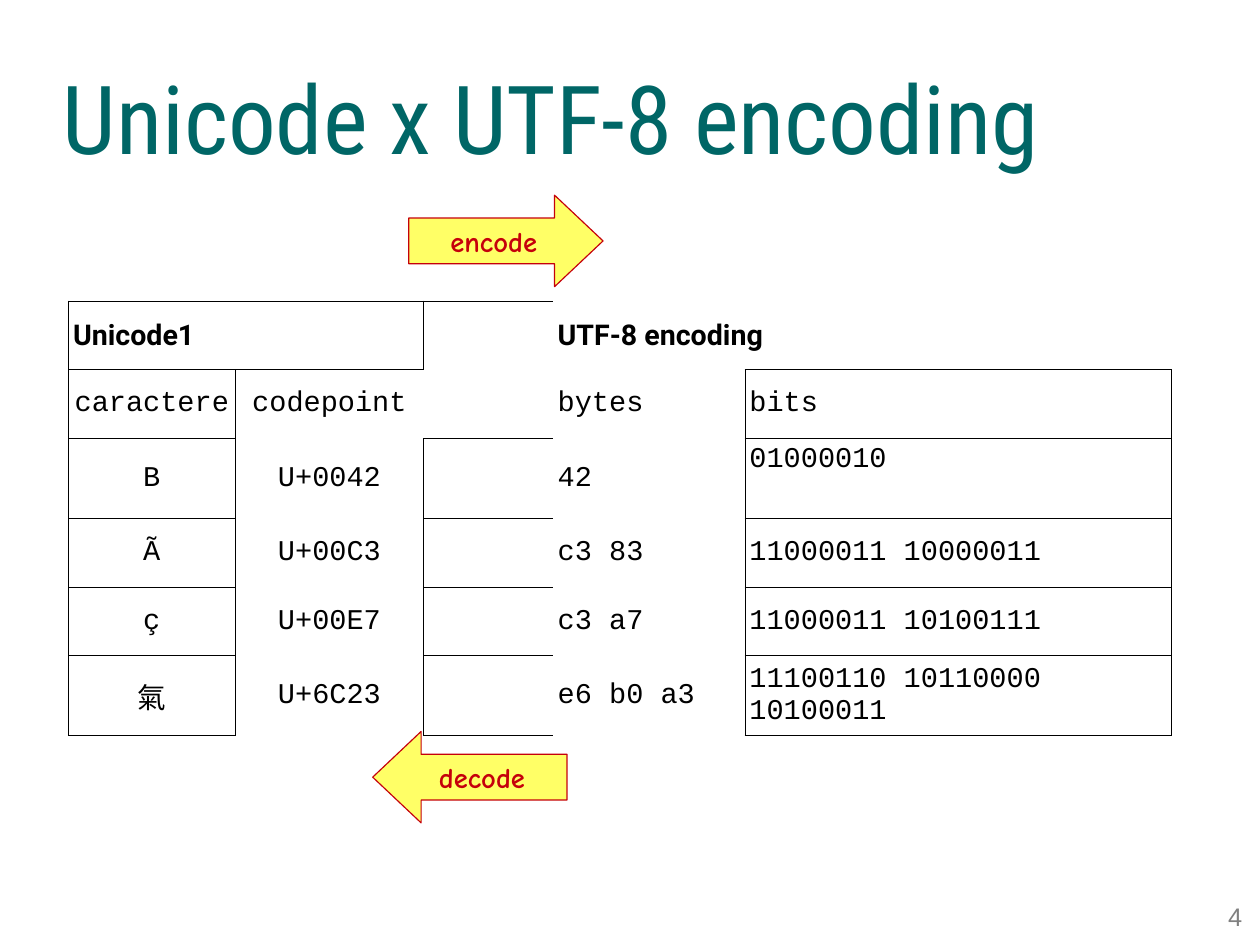
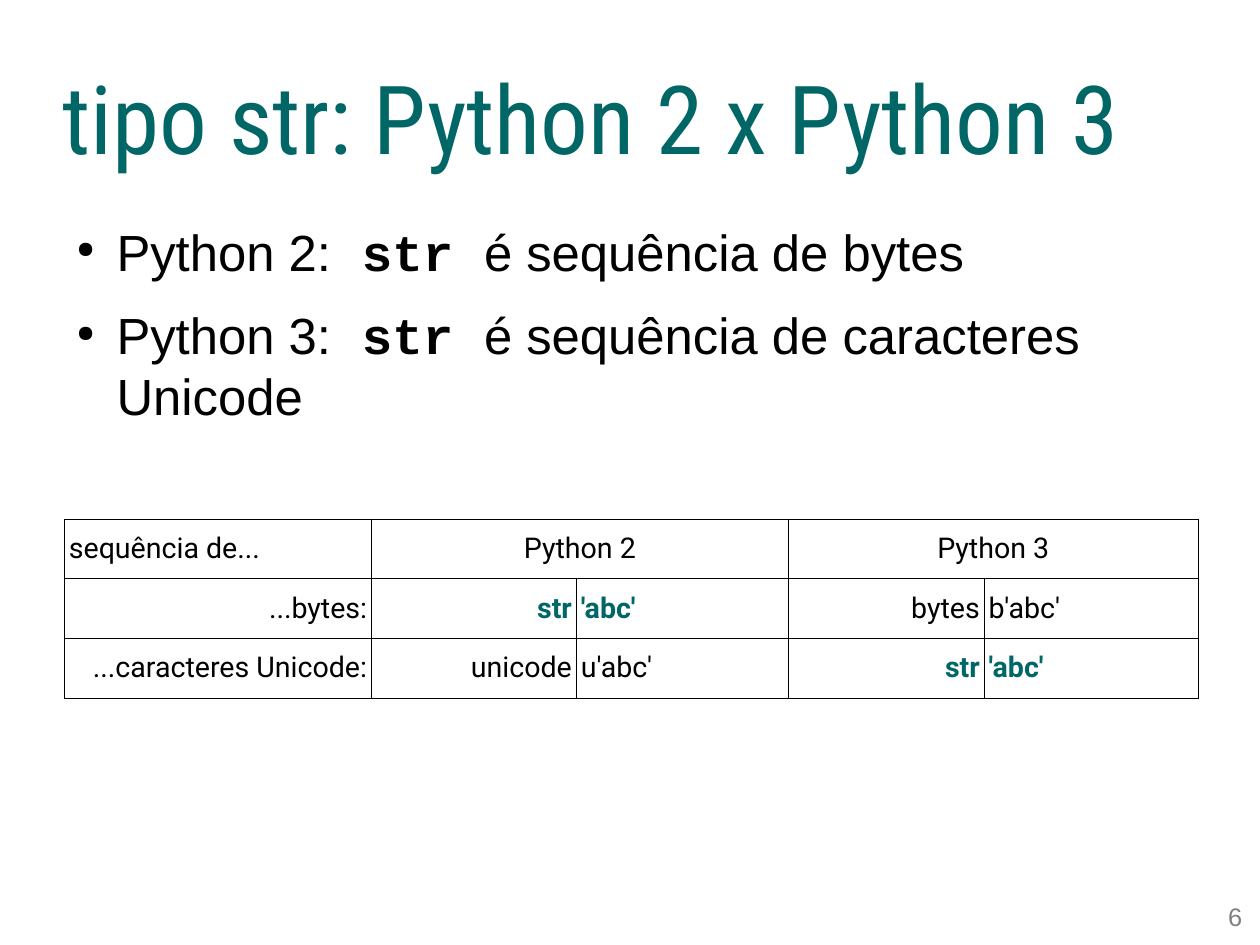
from dataclasses import dataclass

from lxml import etree
from pptx import Presentation
from pptx.dml.color import RGBColor
from pptx.enum.shapes import MSO_SHAPE
from pptx.enum.text import MSO_ANCHOR, MSO_AUTO_SIZE, PP_ALIGN
from pptx.oxml.ns import qn
from pptx.slide import Slide
from pptx.table import _Cell
from pptx.text.text import TextFrame, _Paragraph
from pptx.util import Pt

LEFT, CENTER, RIGHT = PP_ALIGN.LEFT, PP_ALIGN.CENTER, PP_ALIGN.RIGHT
TOP, MIDDLE = MSO_ANCHOR.TOP, MSO_ANCHOR.MIDDLE
NO_AUTOFIT = MSO_AUTO_SIZE.NONE
RIGHT_ARROW, LEFT_ARROW = MSO_SHAPE.RIGHT_ARROW, MSO_SHAPE.LEFT_ARROW
TITLE_ONLY = 5
ALL_SIDES = "LRTB"
NEIGHBOURS = {"L": (0, -1, "R"), "R": (0, 1, "L"), "T": (-1, 0, "B"), "B": (1, 0, "T")}


@dataclass(frozen=True)
class Theme:
    """Colours, fonts, type sizes and line widths of the deck."""
    teal: str = "006666"
    black: str = "000000"
    grey: str = "808080"
    red: str = "C5000B"
    yellow: str = "FFFF66"
    title_font: str = "Roboto Condensed"
    table_font: str = "Roboto"
    body_font: str = "Arial"
    code_font: str = "Courier New"
    arrow_font: str = "Comic Neue"
    title_size: float = 60
    body_size: float = 32
    label_size: float = 18
    number_size: float = 16
    border: float = 0.57


THEME = Theme()


@dataclass(frozen=True)
class Box:
    """A rectangle in points."""
    left: float
    top: float
    width: float
    height: float

    def lengths(self) -> tuple[Pt, Pt, Pt, Pt]:
        """Return the four measures as lengths."""
        return Pt(self.left), Pt(self.top), Pt(self.width), Pt(self.height)


@dataclass(frozen=True)
class Style:
    """The look of one run."""
    font: str
    size: float
    color: str = THEME.black
    bold: bool = False


@dataclass(frozen=True)
class Arrow:
    """A labelled block arrow."""
    label: str
    shape: MSO_SHAPE
    left: float
    top: float


@dataclass(frozen=True)
class CellSpec:
    """One table cell with its visible sides."""
    text: str = ""
    style: Style = Style(THEME.table_font, THEME.label_size)
    align: PP_ALIGN = LEFT
    sides: str = ALL_SIDES
    span: int = 1
    anchor: MSO_ANCHOR = MIDDLE


TITLE_BOX = Box(39.6, -8.6, 714.2, 163.4)
BODY_BOX = Box(39.6, 139, 714.2, 160)
NUMBER_BOX = Box(597.6, 567.4, 185, 21.6)
TITLE = Style(THEME.title_font, THEME.title_size, THEME.teal)
BODY = Style(THEME.body_font, THEME.body_size)
BODY_CODE = Style(THEME.code_font, THEME.body_size, bold=True)
NUMBER = Style(THEME.body_font, THEME.number_size, THEME.grey)
ARROW_LABEL = Style(THEME.arrow_font, THEME.label_size, THEME.red, True)
PLAIN = Style(THEME.table_font, THEME.label_size)
HEADING = Style(THEME.table_font, THEME.label_size, bold=True)
STRONG = Style(THEME.table_font, THEME.label_size, THEME.teal, True)
CODE = Style(THEME.code_font, THEME.label_size)

ARROWS = (
    Arrow("encode", RIGHT_ARROW, 257.5, 123),
    Arrow("decode", LEFT_ARROW, 234.8, 460.8),
)
ENCODINGS = (
    ("B", "U+0042", "42", "01000010"),
    ("Ã", "U+00C3", "c3 83", "11000011 10000011"),
    ("ç", "U+00E7", "c3 a7", "11000011 10100111"),
    ("氣", "U+6C23", "e6 b0 a3", "11100110 10110000 10100011"),
)
STR_MEANINGS = (("Python 2:", "é sequência de bytes"),
                ("Python 3:", "é sequência de caracteres Unicode"))


def add_run(para: _Paragraph, text: str, style: Style) -> None:
    """Append one styled run."""
    span = para.add_run()
    span.text = text
    span.font.name = style.font
    span.font.size = Pt(style.size)
    span.font.bold = style.bold
    span.font.color.rgb = RGBColor.from_string(style.color)


def set_frame(frame: TextFrame, anchor: MSO_ANCHOR) -> None:
    """Make a wrapping frame without margins."""
    frame.word_wrap = True
    frame.auto_size = NO_AUTOFIT
    frame.vertical_anchor = anchor
    frame.margin_left = frame.margin_right = frame.margin_top = frame.margin_bottom = 0


def add_page(deck: Presentation, title: str, number: str) -> Slide:
    """Add a slide with its title and page number."""
    page = deck.slides.add_slide(deck.slide_layouts[TITLE_ONLY])
    heading = page.shapes.title
    heading.left, heading.top, heading.width, heading.height = TITLE_BOX.lengths()
    footer = page.shapes.add_textbox(*NUMBER_BOX.lengths())
    for shape, anchor, align, text, style in (
        (heading, MIDDLE, LEFT, title, TITLE),
        (footer, TOP, RIGHT, number, NUMBER),
    ):
        set_frame(shape.text_frame, anchor)
        para = shape.text_frame.paragraphs[0]
        para.alignment = align
        add_run(para, text, style)
    return page


def add_arrow(page: Slide, arrow: Arrow) -> None:
    """Draw one labelled block arrow."""
    shape = page.shapes.add_shape(arrow.shape, *Box(arrow.left, arrow.top, 122.4, 57.6).lengths())
    shape.shadow.inherit = False
    shape.adjustments[0] = 0.5
    shape.adjustments[1] = 0.53
    shape.fill.solid()
    shape.fill.fore_color.rgb = RGBColor.from_string(THEME.yellow)
    shape.line.color.rgb = RGBColor.from_string(THEME.red)
    shape.line.width = Pt(0)
    shape.text_frame.word_wrap = False
    shape.text_frame.vertical_anchor = MIDDLE
    para = shape.text_frame.paragraphs[0]
    para.alignment = CENTER
    add_run(para, arrow.label, ARROW_LABEL)


def add_bullet(para: _Paragraph) -> None:
    """Give a paragraph a small round bullet and a hanging indent."""
    para.space_after = Pt(14.2)
    props = para._p.get_or_add_pPr()
    props.set("marL", str(Pt(33.8)))
    props.set("indent", str(Pt(-25.2)))
    color = etree.SubElement(props, qn("a:buClr"))
    etree.SubElement(color, qn("a:srgbClr"), val=THEME.black)
    etree.SubElement(props, qn("a:buSzPct"), val="45000")
    etree.SubElement(props, qn("a:buChar"), char="●")


def add_bullets(page: Slide) -> None:
    """Explain the str type as a bulleted list."""
    frame = page.shapes.add_textbox(*BODY_BOX.lengths()).text_frame
    set_frame(frame, TOP)
    for index, (version, meaning) in enumerate(STR_MEANINGS):
        para = frame.add_paragraph() if index else frame.paragraphs[0]
        add_bullet(para)
        add_run(para, version, BODY)
        add_run(para, " str ", BODY_CODE)
        add_run(para, meaning, BODY)


def set_borders(cell: _Cell, visible: set[str]) -> None:
    """Draw the visible sides of a cell and clear the others."""
    props = cell._tc.get_or_add_tcPr()
    for position, side in enumerate(ALL_SIDES):
        width = THEME.border if side in visible else 0
        line = etree.Element(qn(f"a:ln{side}"), w=str(Pt(width)))
        if width:
            fill = etree.SubElement(line, qn("a:solidFill"))
            etree.SubElement(fill, qn("a:srgbClr"), val=THEME.black)
        else:
            etree.SubElement(line, qn("a:noFill"))
        props.insert(position, line)


def fill_cell(cell: _Cell, spec: CellSpec) -> None:
    """Write the text of a cell."""
    cell.margin_left = cell.margin_right = Pt(2.83)
    cell.margin_top = cell.margin_bottom = Pt(3.6)
    cell.vertical_anchor = spec.anchor
    para = cell.text_frame.paragraphs[0]
    para.alignment = spec.align
    if spec.text:
        add_run(para, spec.text, spec.style)
    else:
        para.font.size = Pt(spec.style.size)


def add_grid(page: Slide, left: float, top: float, widths: list[float],
             heights: list[float], rows: list[list[CellSpec]]) -> None:
    """Build a table whose neighbouring cells share their borders."""
    box = Box(left, top, sum(widths), sum(heights))
    table = page.shapes.add_table(len(heights), len(widths), *box.lengths()).table
    table.first_row = table.horz_banding = False
    for column, width in zip(table.columns, widths):
        column.width = Pt(width)
    for line, height in zip(table.rows, heights):
        line.height = Pt(height)
    visible = {(r, c): set() for r in range(len(heights)) for c in range(len(widths))}
    for r, specs in enumerate(rows):
        c = 0
        for spec in specs:
            area = [(r, c + offset) for offset in range(spec.span)]
            for place in area:
                visible[place].update(spec.sides)
                for side in spec.sides:
                    down, across, facing = NEIGHBOURS[side]
                    beside = (place[0] + down, place[1] + across)
                    if beside in visible and beside not in area:
                        visible[beside].add(facing)
            if spec.span > 1:
                table.cell(r, c).merge(table.cell(r, c + spec.span - 1))
            fill_cell(table.cell(r, c), spec)
            c += spec.span
    for (r, c), sides in visible.items():
        cell = table.cell(r, c)
        cell.fill.background()
        set_borders(cell, sides)


def encoding_row(texts: tuple[str, str, str, str], gap_sides: str,
                 align: PP_ALIGN = CENTER, anchor: MSO_ANCHOR = MIDDLE) -> list[CellSpec]:
    """Lay out one character with its codepoint, bytes and bits."""
    character, codepoint, octets, bits = texts
    return [CellSpec(character, CODE, align), CellSpec(codepoint, CODE, align, ""),
            CellSpec(style=CODE, sides=gap_sides), CellSpec(octets, CODE, sides=""),
            CellSpec(bits, CODE, anchor=anchor)]


def build_encoding(deck: Presentation) -> None:
    """Compare codepoints with their encoded bytes."""
    page = add_page(deck, "Unicode x UTF-8 encoding", "4")
    rows = [
        [CellSpec("Unicode1", HEADING, span=2), CellSpec(sides="LT"),
         CellSpec("UTF-8 encoding", HEADING, sides="", span=2)],
        encoding_row(("caractere", "codepoint", "bytes", "bits"), "B"),
    ]
    for index, texts in enumerate(ENCODINGS):
        rows.append(encoding_row(texts, "LTB", anchor=MIDDLE if index else TOP))
    add_grid(page, 43.2, 189.6, [104.8, 119, 81.5, 120.8, 268.7],
             [43.3, 43.3, 50.4, 43.3, 43.3, 50.4], rows)
    for arrow in ARROWS:
        add_arrow(page, arrow)


def build_str_type(deck: Presentation) -> None:
    """Compare the str type of two language versions."""
    page = add_page(deck, "tipo str: Python 2 x Python 3", "6")
    add_bullets(page)
    rows = [[CellSpec("sequência de..."), CellSpec("Python 2", align=CENTER, span=2),
             CellSpec("Python 3", align=CENTER, span=2)]]
    for label, pairs in (
        ("...bytes:", (("str", "'abc'", STRONG), ("bytes", "b'abc'", PLAIN))),
        ("...caracteres Unicode:", (("unicode", "u'abc'", PLAIN), ("str", "'abc'", STRONG))),
    ):
        row = [CellSpec(label, align=RIGHT)]
        for kind, literal, style in pairs:
            row += [CellSpec(kind, style, RIGHT), CellSpec(literal, style)]
        rows.append(row)
    add_grid(page, 40.6, 326.9, [193.5, 129, 133.5, 123.5, 134.8], [37.6] * 3, rows)


def main() -> None:
    """Build and save the deck."""
    deck = Presentation()
    deck.slide_width, deck.slide_height = Pt(793.7), Pt(595.3)
    build_encoding(deck)
    build_str_type(deck)
    deck.save("out.pptx")


if __name__ == "__main__":
    main()
